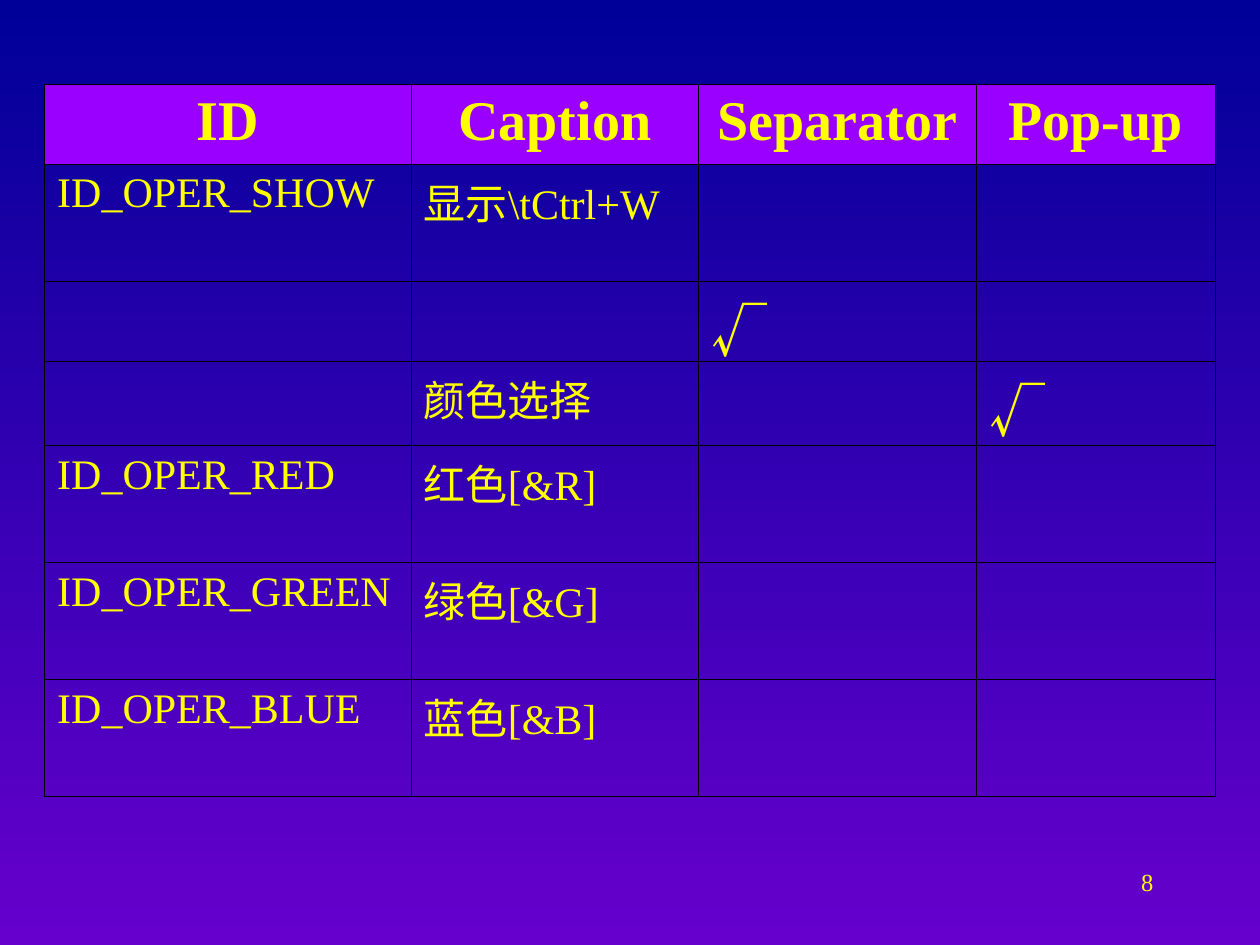
from lxml import etree
from pptx import Presentation
from pptx.dml.color import RGBColor
from pptx.enum.text import PP_ALIGN
from pptx.oxml.ns import qn
from pptx.util import Cm, Pt

CENTER, LEFT, RIGHT = PP_ALIGN.CENTER, PP_ALIGN.LEFT, PP_ALIGN.RIGHT
BLANK_LAYOUT = 6
LATIN_FONT, CHINESE_FONT = "Times New Roman", "Noto Sans CJK SC"
YELLOW, VIOLET, BLACK = "FFFF00", "9900FF", "000000"
TOP_BLUE, BOTTOM_PURPLE = "000099", "6600CC"
HANGING = Cm(0.97)
CHECK = "√"
COLUMN_WIDTHS = [7.39, 5.79, 5.61, 4.8]
ROW_HEIGHTS = [1.6, 2.36, 1.6, 1.7, 2.36, 2.36, 2.36]
MENU_ROWS = [
    ["ID", "Caption", "Separator", "Pop-up"],
    ["ID_OPER_SHOW", "显示\\tCtrl+W", "", ""],
    ["", "", CHECK, ""],
    ["", "颜色选择", "", CHECK],
    ["ID_OPER_RED", "红色[&R]", "", ""],
    ["ID_OPER_GREEN", "绿色[&G]", "", ""],
    ["ID_OPER_BLUE", "蓝色[&B]", "", ""],
]


def rgb(value):
    return RGBColor.from_string(value)


def paint_background(slide):
    fill = slide.background.fill
    fill.gradient()
    fill.gradient_angle = 270
    for stop, position, color in zip(fill.gradient_stops, (0, 1), (TOP_BLUE, BOTTOM_PURPLE)):
        stop.position = position
        stop.color.rgb = rgb(color)


def write(paragraph, text, size, align, bold=False, latin=LATIN_FONT):
    paragraph.text = text
    paragraph.alignment = align
    font = paragraph.font
    font.size, font.bold, font.name = Pt(size), bold, latin
    font.color.rgb = rgb(YELLOW)
    properties = paragraph._p.pPr.find(qn("a:defRPr"))
    east_asian = etree.Element(qn("a:ea"), typeface=CHINESE_FONT)
    properties.find(qn("a:latin")).addnext(east_asian)


def hang(paragraph):
    properties = paragraph._p.get_or_add_pPr()
    properties.set("marL", str(HANGING))
    properties.set("indent", str(-HANGING))


def add_borders(cell):
    properties = cell._tc.get_or_add_tcPr()
    for side in ("lnL", "lnR", "lnT", "lnB"):
        border = etree.SubElement(properties, qn(f"a:{side}"), w=str(Pt(0.45)))
        fill = etree.SubElement(border, qn("a:solidFill"))
        etree.SubElement(fill, qn("a:srgbClr"), val=BLACK)


def fill_cell(cell, text, is_header):
    add_borders(cell)
    if is_header:
        cell.fill.solid()
        cell.fill.fore_color.rgb = rgb(VIOLET)
    else:
        cell.fill.background()
    if text:
        paragraph = cell.text_frame.paragraphs[0]
        hang(paragraph)
        write(
            paragraph, text,
            size=32 if is_header or text == CHECK else 24,
            align=CENTER if is_header else LEFT,
            bold=is_header,
            latin=CHINESE_FONT if text == CHECK else LATIN_FONT,
        )


def add_menu_table(slide):
    menu = slide.shapes.add_table(
        len(MENU_ROWS), len(COLUMN_WIDTHS), Cm(0.9), Cm(1.7),
        Cm(sum(COLUMN_WIDTHS)), Cm(sum(ROW_HEIGHTS)),
    ).table
    menu.first_row = menu.horz_banding = False
    for column, width in zip(menu.columns, COLUMN_WIDTHS):
        column.width = Cm(width)
    for index, (row, height, texts) in enumerate(zip(menu.rows, ROW_HEIGHTS, MENU_ROWS)):
        row.height = Cm(height)
        for cell, text in zip(row.cells, texts):
            fill_cell(cell, text, index == 0)


def add_page_number(slide, number):
    frame = slide.shapes.add_textbox(Cm(18.2), Cm(17.35), Cm(5.3), Cm(1.27)).text_frame
    frame.word_wrap = True
    write(frame.paragraphs[0], number, 14, RIGHT)


def main():
    deck = Presentation()
    deck.slide_width, deck.slide_height = Cm(25.4), Cm(19.05)
    slide = deck.slides.add_slide(deck.slide_layouts[BLANK_LAYOUT])
    paint_background(slide)
    add_page_number(slide, "8")
    add_menu_table(slide)
    deck.save("out.pptx")


if __name__ == "__main__":
    main()
